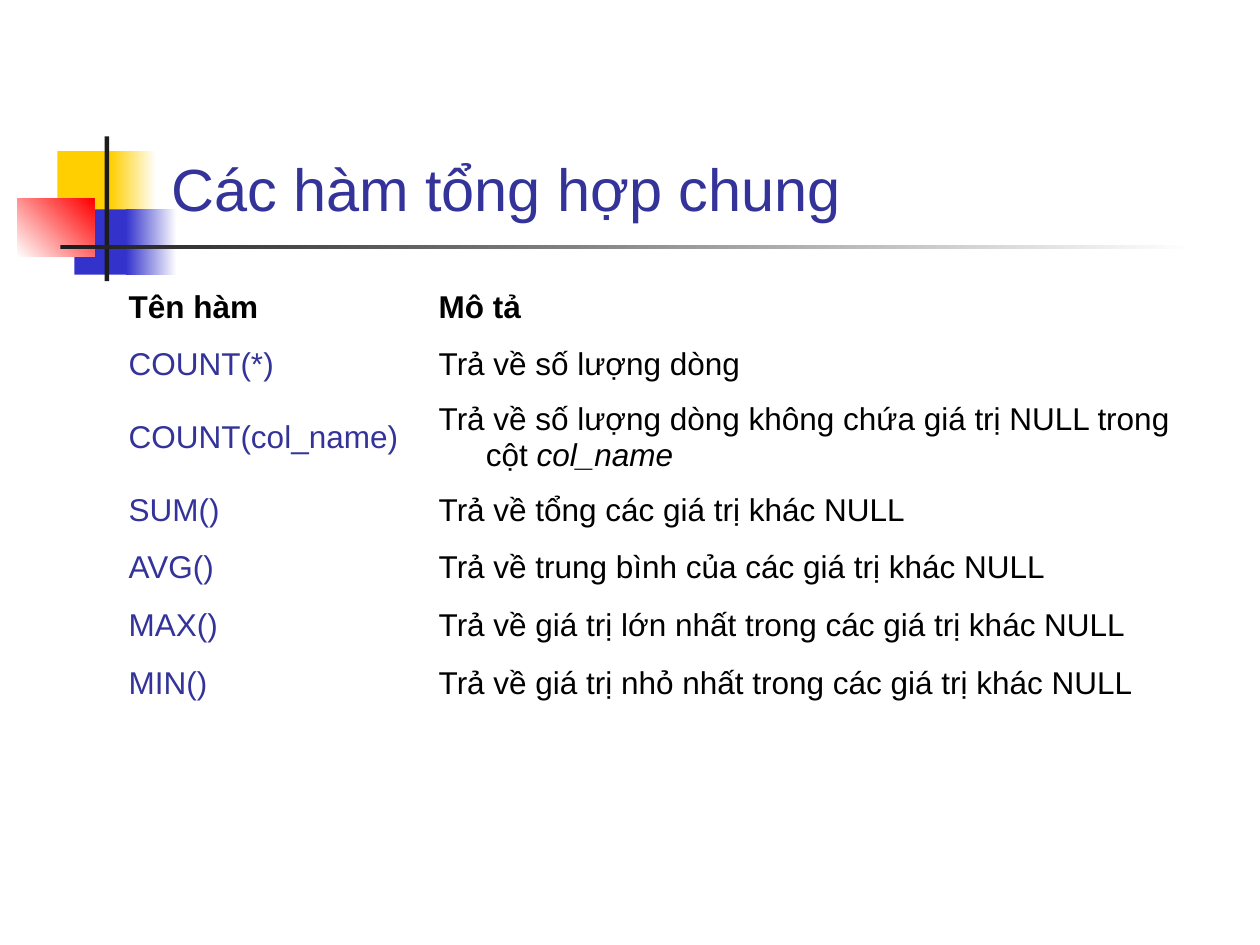
from pptx import Presentation
from pptx.dml.color import RGBColor
from pptx.enum.shapes import MSO_SHAPE
from pptx.enum.text import MSO_ANCHOR, PP_ALIGN
from pptx.util import Cm, Pt

RECT = MSO_SHAPE.RECTANGLE
MIDDLE, BOTTOM = MSO_ANCHOR.MIDDLE, MSO_ANCHOR.BOTTOM
LEFT = PP_ALIGN.LEFT

WHITE = RGBColor(0xFF, 0xFF, 0xFF)
BLACK = RGBColor(0x00, 0x00, 0x00)
YELLOW = RGBColor(0xFF, 0xCF, 0x01)
BLUE = RGBColor(0x33, 0x33, 0xCC)
RED = RGBColor(0xFF, 0x00, 0x00)
CHARCOAL = RGBColor(0x1C, 0x1C, 0x1C)
INDIGO = RGBColor(0x33, 0x33, 0x99)
FONT = "Arial"

TITLE = "Các hàm tổng hợp chung"
HEADER = ("Tên hàm", "Mô tả")
# Each function: name, description, italic ending of the description
FUNCTIONS = [
    ("COUNT(*)", "Trả về số lượng dòng", ""),
    ("COUNT(col_name)",
     "Trả về số lượng dòng không chứa giá trị NULL trong cột ", "col_name"),
    ("SUM()", "Trả về tổng các giá trị khác NULL", ""),
    ("AVG()", "Trả về trung bình của các giá trị khác NULL", ""),
    ("MAX()", "Trả về giá trị lớn nhất trong các giá trị khác NULL", ""),
    ("MIN()", "Trả về giá trị nhỏ nhất trong các giá trị khác NULL", ""),
]
# Left, top, width, height in cm; start colour, end colour, angle
DECORATION = [
    (1.16, 3.05, 1.22, 1.32, YELLOW, None, 0),
    (2.23, 3.05, 0.92, 1.32, YELLOW, WHITE, 0),
    (1.50, 4.22, 1.17, 1.32, BLUE, None, 0),
    (2.54, 4.22, 1.02, 1.32, BLUE, WHITE, 0),
    (0.35, 4.01, 1.55, 1.17, WHITE, RED, 45),
    (2.11, 2.75, 0.09, 2.92, CHARCOAL, None, 0),
    (1.22, 4.94, 22.86, 0.09, CHARCOAL, WHITE, 0),
]
COLUMN_WIDTHS = (6.25, 15.34)
ROW_HEIGHT, TALL_ROW_HEIGHT = 1.16, 1.78
HANGING = 0.95


def add_decoration(slide, left, top, width, height, start, end, angle):
    sp = slide.shapes.add_shape(RECT, Cm(left), Cm(top), Cm(width), Cm(height))
    sp.shadow.inherit = False
    sp.line.fill.background()
    if end is None:
        sp.fill.solid()
        sp.fill.fore_color.rgb = start
        return
    sp.fill.gradient()
    sp.fill.gradient_angle = angle
    for stop, color, position in zip(sp.fill.gradient_stops, (start, end), (0, 1)):
        stop.color.rgb = color
        stop.position = position


def style(p, size, color, bold=False):
    p.alignment = LEFT
    p.font.name = FONT
    p.font.size = Pt(size)
    p.font.color.rgb = color
    p.font.bold = bold


def fill_cell(cell, text, color, bold=False, italic_end=""):
    cell.fill.background()
    cell.vertical_anchor = MIDDLE
    p = cell.text_frame.paragraphs[0]
    p.add_run().text = text
    if italic_end:
        r = p.add_run()
        r.text = italic_end
        r.font.italic = True
    style(p, 18, color, bold)
    pPr = p._p.get_or_add_pPr()
    pPr.set("marL", str(Cm(HANGING)))
    pPr.set("indent", str(-Cm(HANGING)))


def add_function_table(slide):
    heights = [ROW_HEIGHT] + [TALL_ROW_HEIGHT if end else ROW_HEIGHT
                              for _, _, end in FUNCTIONS]
    table = slide.shapes.add_table(
        len(heights), len(COLUMN_WIDTHS), Cm(2.34), Cm(5.61),
        Cm(sum(COLUMN_WIDTHS)), Cm(sum(heights))).table
    table.first_row = table.horz_banding = False
    for column, width in zip(table.columns, COLUMN_WIDTHS):
        column.width = Cm(width)
    for row, height in zip(table.rows, heights):
        row.height = Cm(height)
    for col, text in enumerate(HEADER):
        fill_cell(table.cell(0, col), text, BLACK, bold=True)
    for row, (name, description, italic_end) in enumerate(FUNCTIONS, 1):
        fill_cell(table.cell(row, 0), name, INDIGO)
        fill_cell(table.cell(row, 1), description, BLACK, italic_end=italic_end)


def main():
    prs = Presentation()
    prs.slide_width, prs.slide_height = Cm(25.4), Cm(19.05)
    slide = prs.slides.add_slide(prs.slide_layouts[5])

    for part in DECORATION:
        add_decoration(slide, *part)

    title = slide.shapes.title
    title.left, title.top = Cm(3.2), Cm(0.58)
    title.width, title.height = Cm(21.64), Cm(4.06)
    tf = title.text_frame
    tf.text = TITLE
    tf.vertical_anchor = BOTTOM
    style(tf.paragraphs[0], 34, INDIGO)

    add_function_table(slide)
    prs.save("out.pptx")


if __name__ == "__main__":
    main()
